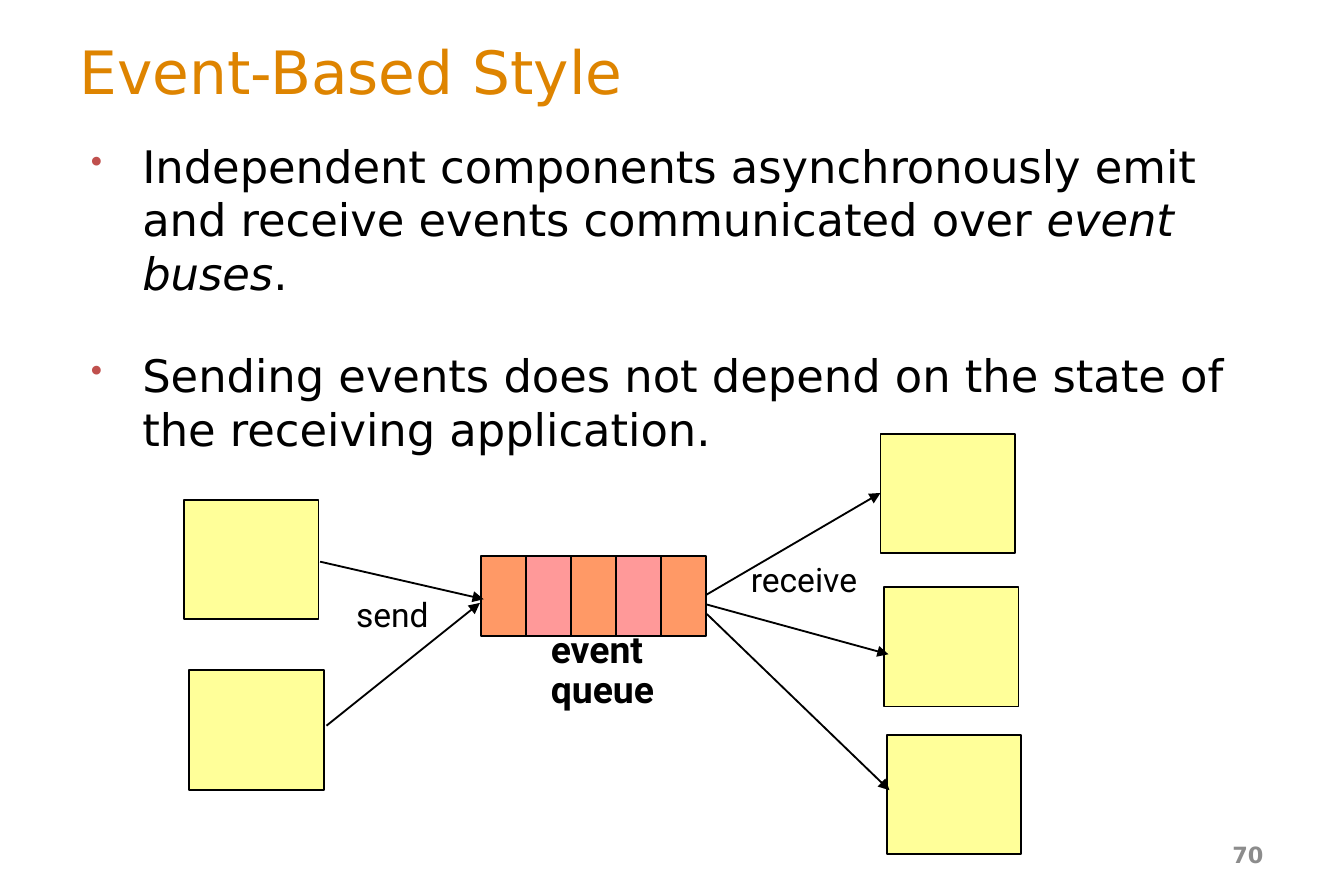
from dataclasses import dataclass

from lxml import etree
from pptx import Presentation
from pptx.dml.color import RGBColor
from pptx.enum.shapes import MSO_CONNECTOR, MSO_SHAPE
from pptx.enum.text import MSO_ANCHOR, MSO_AUTO_SIZE, PP_ALIGN
from pptx.oxml.ns import qn
from pptx.util import Cm, Pt

RECTANGLE = MSO_SHAPE.RECTANGLE
STRAIGHT = MSO_CONNECTOR.STRAIGHT
MIDDLE = MSO_ANCHOR.MIDDLE
LEFT, RIGHT = PP_ALIGN.LEFT, PP_ALIGN.RIGHT
NO_FIT = MSO_AUTO_SIZE.NONE
TITLE_ONLY = 5


@dataclass(frozen=True)
class Theme:
    """Colours, fonts and type sizes of the slide."""
    title: str = "DE8400"
    ink: str = "000000"
    bullet: str = "C0504D"
    number: str = "8C8C8C"
    component: str = "FFFF99"
    slots: tuple = ("FF9966", "FF9999")
    font: str = "DejaVu Sans"
    label_font: str = "Roboto"
    title_size: float = 32
    body_size: float = 24
    body_leading: float = 28.8
    body_gap: float = 26
    queue_size: float = 20
    label_size: float = 18
    number_size: float = 12
    line_width: float = 1


THEME = Theme()
BULLETS = [
    [("Independent components asynchronously emit and receive events "
      "communicated over ", False), ("event buses", True), (".", False)],
    [("Sending events does not depend on the state of the receiving "
      "application.", False)],
]
COMPONENT_SIZE = (2.54, 2.26)
SENDERS = [(0, 1.25), (0.1, 4.47)]
RECEIVERS = [(13.16, 0), (13.23, 2.9), (13.28, 5.69)]
QUEUE = (5.61, 2.32)
SLOT_SIZE = (0.85, 1.5)
SLOT_COUNT = 5
ARROWS = [
    (2.57, 2.42, 5.66, 3.13),
    (2.69, 5.52, 5.59, 3.2),
    (9.86, 3.05, 13.16, 1.12),
    (9.88, 3.23, 13.31, 4.17),
    (9.88, 3.41, 13.33, 6.74),
]
LABELS = [
    ("receive", (10.46, 2.32, 2.59, 0.97), THEME.label_size, False),
    ("send", (3, 3, 1.9, 0.97), THEME.label_size, False),
    ("event\nqueue", (6.68, 3.61, 2.62, 1.8), THEME.queue_size, True),
]


def format_font(font, name, size, color, bold=False):
    """Set typeface, size, colour and weight."""
    font.name, font.size, font.bold = name, Pt(size), bold
    font.color.rgb = RGBColor.from_string(color)


def add_title(slide, box, text):
    """Move and format the title placeholder."""
    title = slide.shapes.title
    title.left, title.top, title.width, title.height = map(Cm, box)
    frame = title.text_frame
    frame.text = text
    frame.vertical_anchor = MIDDLE
    frame.auto_size = NO_FIT
    paragraph = frame.paragraphs[0]
    paragraph.alignment = LEFT
    format_font(paragraph.runs[0].font, THEME.font, THEME.title_size, THEME.title)


def add_bullet(paragraph):
    """Give a paragraph a coloured bullet and a hanging indent."""
    properties = paragraph._p.get_or_add_pPr()
    properties.set("marL", str(Cm(0.97)))
    properties.set("indent", str(-Cm(0.97)))
    color = etree.SubElement(properties, qn("a:buClr"))
    etree.SubElement(color, qn("a:srgbClr"), val=THEME.bullet)
    etree.SubElement(properties, qn("a:buSzPct"), val="75000")
    etree.SubElement(properties, qn("a:buChar"), char="•")


def add_body(slide, box, items):
    """Write the bulleted statements."""
    frame = slide.shapes.add_textbox(*map(Cm, box)).text_frame
    frame.word_wrap = True
    for index, parts in enumerate(items):
        paragraph = frame.add_paragraph() if index else frame.paragraphs[0]
        add_bullet(paragraph)
        paragraph.line_spacing = Pt(THEME.body_leading)
        if index:
            paragraph.space_before = Pt(THEME.body_gap)
        for text, italic in parts:
            run = paragraph.add_run()
            run.text = text
            format_font(run.font, THEME.font, THEME.body_size, THEME.ink)
            run.font.italic = italic


def add_block(slide, left, top, size, color):
    """Draw an outlined rectangle."""
    shape = slide.shapes.add_shape(RECTANGLE, *map(Cm, (left, top, *size)))
    shape.shadow.inherit = False
    shape.fill.solid()
    shape.fill.fore_color.rgb = RGBColor.from_string(color)
    shape.line.color.rgb = RGBColor.from_string(THEME.ink)
    shape.line.width = Pt(THEME.line_width)


def add_arrow(slide, start_x, start_y, end_x, end_y):
    """Draw a straight line with an arrowhead at its end."""
    arrow = slide.shapes.add_connector(
        STRAIGHT, *map(Cm, (start_x, start_y, end_x, end_y)))
    arrow.line.color.rgb = RGBColor.from_string(THEME.ink)
    arrow.line.width = Pt(THEME.line_width)
    etree.SubElement(arrow.line._get_or_add_ln(), qn("a:tailEnd"), type="triangle")
    etree.SubElement(arrow._element.spPr, qn("a:effectLst"))


def add_label(slide, box, text, size, bold):
    """Write a tight, unwrapped diagram label."""
    frame = slide.shapes.add_textbox(*map(Cm, box)).text_frame
    frame.text = text
    frame.word_wrap = False
    for paragraph in frame.paragraphs:
        paragraph.line_spacing = 0.9
        format_font(paragraph.runs[0].font, THEME.label_font, size, THEME.ink, bold)


def add_diagram(slide, box):
    """Draw senders, event queue and receivers inside the box."""
    left, top = box[:2]
    for x, y in SENDERS + RECEIVERS:
        add_block(slide, left + x, top + y, COMPONENT_SIZE, THEME.component)
    for index in range(SLOT_COUNT):
        slot_left = left + QUEUE[0] + index * SLOT_SIZE[0]
        color = THEME.slots[index % len(THEME.slots)]
        add_block(slide, slot_left, top + QUEUE[1], SLOT_SIZE, color)
    for start_x, start_y, end_x, end_y in ARROWS:
        add_arrow(slide, left + start_x, top + start_y, left + end_x, top + end_y)
    for text, (x, y, width, height), size, bold in LABELS:
        add_label(slide, (left + x, top + y, width, height), text, size, bold)


def add_page_number(slide, box, text):
    """Write the page number at the lower right."""
    frame = slide.shapes.add_textbox(*map(Cm, box)).text_frame
    frame.text = text
    frame.word_wrap = True
    frame.vertical_anchor = MIDDLE
    paragraph = frame.paragraphs[0]
    paragraph.alignment = RIGHT
    format_font(paragraph.runs[0].font, THEME.font, THEME.number_size,
                THEME.number, bold=True)


def main():
    """Build and save the presentation."""
    presentation = Presentation()
    presentation.slide_width, presentation.slide_height = Cm(25.4), Cm(16.94)
    slide = presentation.slides.add_slide(presentation.slide_layouts[TITLE_ONLY])
    add_title(slide, (1.25, 0.58, 22.86, 1.5), "Event-Based Style")
    add_body(slide, (1.47, 2.49, 22.66, 7.09), BULLETS)
    add_diagram(slide, (3.48, 8.2, 15.82, 7.95))
    add_page_number(slide, (18.21, 15.7, 5.92, 0.91), "70")
    presentation.save("out.pptx")


if __name__ == "__main__":
    main()
